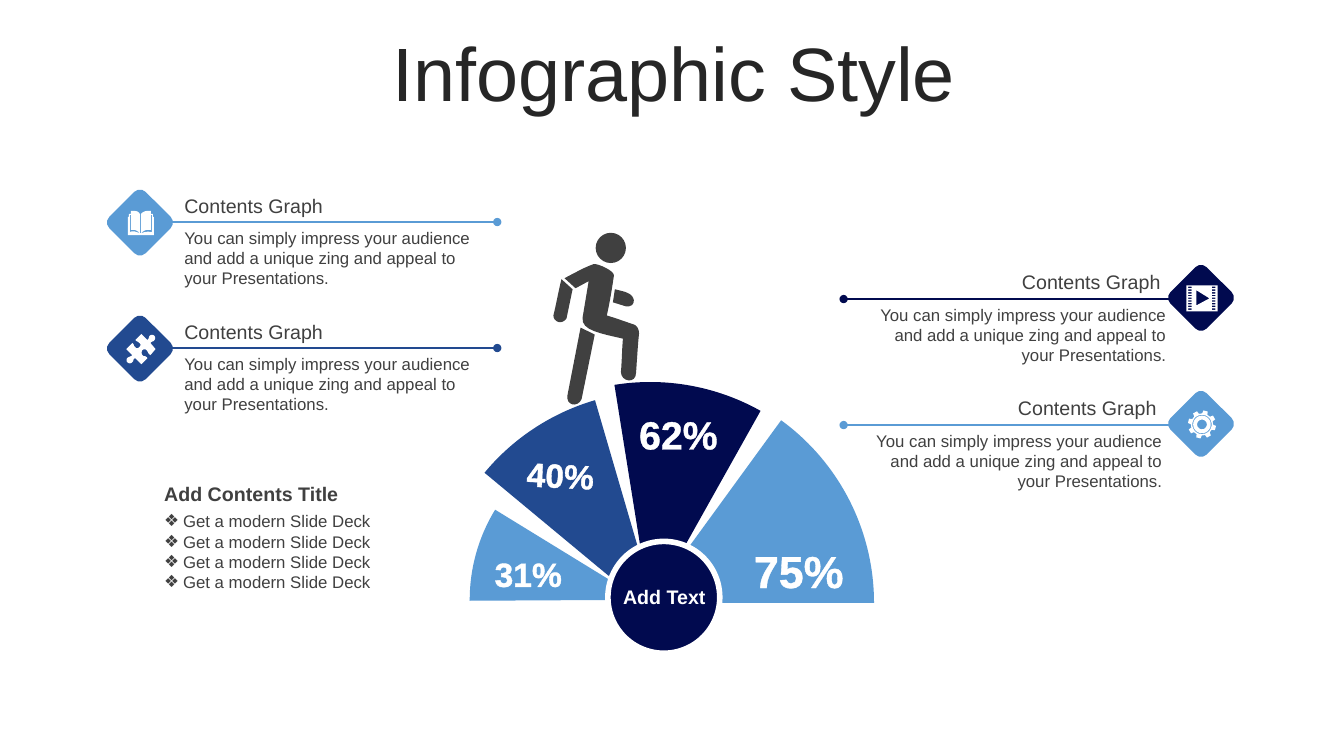
from math import cos, radians, sin

from lxml import etree
from pptx import Presentation
from pptx.dml.color import RGBColor
from pptx.enum.shapes import MSO_CONNECTOR as CONNECTOR, MSO_SHAPE as SHAPE
from pptx.enum.text import MSO_ANCHOR as ANCHOR, MSO_AUTO_SIZE as AUTO_SIZE, PP_ALIGN as ALIGN
from pptx.oxml.ns import qn
from pptx.util import Pt

COLORS = {"sky": "5A9BD5", "blue": "224A90", "navy": "010A4F",
          "text": "404040", "title": "262626", "white": "FFFFFF"}
FONT = "Arial"
UNIT = 0.72
BODY = "You can simply impress your audience and add a unique zing and appeal to your Presentations."

BOOK = [[(12, 22), (13, 22), (17, 21, 19, 20, 24, 21), (24, 4), (23, 4), (23, 19),
         (20, 18, 16, 19, 13, 22), (13, 3), (15, 1, 17, 0, 19, 0), (23, 0), (23, 3),
         (25, 3), (25, 6), (26, 6), (26, 24), (0, 24), (0, 6), (1, 6), (1, 3), (3, 3),
         (3, 0), (7, 0), (9, 0, 11, 1, 12, 3), (12, 22), (9, 19, 6, 18, 3, 19), (3, 4),
         (2, 4), (2, 21), (6, 19, 8, 21, 12, 22)]]
PUZZLE = [[(28, 2), (29, 3, 29, 5, 28, 6), (27, 8, 25, 7, 24, 9), (29, 15), (24, 21),
           (21, 19, 22, 18, 20, 16), (19, 15, 17, 15, 16, 16), (15, 17, 15, 20, 16, 21),
           (18, 23, 19, 21, 21, 24), (15, 30), (9, 24), (6, 25, 8, 26, 6, 28),
           (4, 30, 2, 29, 1, 28), (0, 27, 0, 25, 1, 24), (3, 22, 4, 23, 6, 21), (0, 15),
           (6, 9), (8, 10, 7, 12, 9, 13), (10, 15, 12, 14, 13, 13), (14, 12, 15, 10, 13, 9),
           (11, 7, 11, 8, 9, 6), (15, 0), (21, 6), (23, 4, 22, 4, 23, 2), (25, 0, 27, 1, 28, 2)]]
WALKER = [
    [(40, 31), (43, 30, 62, 38, 60, 43), (58, 56, 56, 69, 53, 82), (63, 85, 68, 87, 80, 91),
     (83, 92, 85, 96, 85, 100), (84, 108, 83, 125, 82, 139), (82, 150, 67, 148, 67, 138),
     (68, 127, 68, 116, 69, 105), (48, 100, 27, 97, 29, 84), (35, 48), (22, 55), (11, 45),
     (21, 40, 29, 35, 40, 31)],
    [(61, 56), (68, 58, 71, 58, 76, 61), (82, 65, 81, 74, 72, 73), (59, 69)],
    [(27, 94), (41, 101), (28, 165), (24, 174, 12, 171, 14, 161)],
    [(8, 46), (19, 56), (13, 85), (8, 92, 0, 88, 0, 82), (3, 70, 5, 58, 8, 46)],
]


def rectangle(left, top, width, height):
    return [(left, top), (left + width, top), (left + width, top + height), (left, top + height)]


def polar(radius, degrees):
    return 14 + radius * sin(radians(degrees)), 14 - radius * cos(radians(degrees))


def film():
    holes = [rectangle(x, 1.4 + 2.7 * row, 3.5, 1.4) for x in (1.7, 25.3) for row in range(9)]
    return [rectangle(0, 0, 31, 26), [(10, 5), (10, 20), (23, 13)], *holes]


def gear():
    teeth = [polar(radius, 15 + 45 * tooth + turn) for tooth in range(8)
             for radius, turn in ((11, -14), (14, -9), (14, 9), (11, 14))]
    rings = [[polar(radius, turn) for turn in range(0, 360, 10)] for radius in (9.6, 8.7, 4.8)]
    return [teeth, *rings]


def flatten(contour):
    points = [contour[0]]
    for step in contour[1:]:
        if len(step) == 2:
            points.append(step)
            continue
        start, first, second, end = points[-1], step[:2], step[2:4], step[4:]
        for t in (k / 8 for k in range(1, 9)):
            points.append(tuple(
                (1 - t) ** 3 * a + 3 * (1 - t) ** 2 * t * b + 3 * (1 - t) * t ** 2 * c + t ** 3 * d
                for a, b, c, d in zip(start, first, second, end)))
    return points


def paint(shape, color):
    shape.shadow.inherit = False
    shape.fill.solid()
    shape.fill.fore_color.rgb = RGBColor.from_string(COLORS[color])
    shape.line.fill.background()
    return shape


def add_figure(slide, left, top, contours, color):
    outlines = [[(Pt(x * UNIT), Pt(y * UNIT)) for x, y in flatten(c)] for c in contours]
    builder = slide.shapes.build_freeform(*outlines[0][0])
    builder.add_line_segments(outlines[0][1:])
    for outline in outlines[1:]:
        builder.move_to(*outline[0])
        builder.add_line_segments(outline[1:])
    return paint(builder.convert_to_shape(Pt(left), Pt(top)), color)


def add_preset(slide, kind, left, top, size, color, rotation=0, adjustments=()):
    shape = paint(slide.shapes.add_shape(kind, Pt(left), Pt(top), Pt(size), Pt(size)), color)
    shape.rotation = rotation
    for index, value in enumerate(adjustments):
        shape.adjustments[index] = value
    return shape


def add_text(slide, text, left, top, width, height, size=12, color="text", bold=False,
             align=ALIGN.LEFT, rotation=0, outline=False, bullet=None):
    box = slide.shapes.add_textbox(Pt(left), Pt(top), Pt(width), Pt(height))
    box.rotation = rotation
    frame = box.text_frame
    frame.word_wrap = True
    frame.auto_size = AUTO_SIZE.SHAPE_TO_FIT_TEXT
    frame.text = text
    for paragraph in frame.paragraphs:
        paragraph.alignment = align
        if bullet:
            properties = paragraph._p.get_or_add_pPr()
            properties.set("marL", str(Pt(13.5)))
            properties.set("indent", str(-Pt(13.5)))
            etree.SubElement(properties, qn("a:buFont")).set("typeface", FONT)
            etree.SubElement(properties, qn("a:buChar")).set("char", bullet)
        run = paragraph.runs[0]
        run.font.name, run.font.size, run.font.bold = FONT, Pt(size), bold
        run.font.color.rgb = RGBColor.from_string(COLORS[color])
        if outline:
            edge = etree.Element(qn("a:ln"), w=str(Pt(1)))
            fill = etree.SubElement(edge, qn("a:solidFill"))
            etree.SubElement(fill, qn("a:srgbClr")).set("val", COLORS[color])
            run._r.get_or_add_rPr().insert(0, edge)


def add_title(slide, text):
    title = slide.shapes.title
    title.left, title.top, title.width, title.height = Pt(25.6), Pt(26.6), Pt(911.5), Pt(56.9)
    frame = title.text_frame
    frame.text = text
    frame.auto_size = AUTO_SIZE.NONE
    frame.vertical_anchor = ANCHOR.MIDDLE
    paragraph = frame.paragraphs[0]
    paragraph.alignment, paragraph.line_spacing = ALIGN.CENTER, 0.9
    font = paragraph.runs[0].font
    font.name, font.size = FONT, Pt(54)
    font.color.rgb = RGBColor.from_string(COLORS["title"])


def add_callout(slide, left, top, icon, color, rule, text_gap, mirrored=False):
    width, diamond, text_width = 273.6, 36.7, 228.3
    diamond_left = left + width - diamond if mirrored else left
    text_left = left + width - text_gap - text_width if mirrored else left + text_gap
    align = ALIGN.RIGHT if mirrored else ALIGN.LEFT
    start, dot = (left + width - 41, left) if mirrored else (left + 41, left + width)

    add_preset(slide, SHAPE.ROUNDED_RECTANGLE, diamond_left, top, diamond, color, 315, [0.156])
    points = [point for contour in icon for point in flatten(contour)]
    icon_width, icon_height = (max(axis) * UNIT for axis in zip(*points))
    add_figure(slide, diamond_left + (diamond - icon_width) / 2 + 0.7,
               top + (diamond - icon_height) / 2 + 0.4, icon, "white")
    add_text(slide, BODY, text_left, top + rule + 0.5, text_width, 51, align=align)
    add_text(slide, "Contents Graph", text_left - (4 if mirrored else 0), top - 5.3,
             text_width, 24.5, size=14, align=align)
    line = slide.shapes.add_connector(CONNECTOR.STRAIGHT, Pt(start), Pt(top + rule),
                                      Pt(dot), Pt(top + rule))
    line.line.color.rgb = RGBColor.from_string(COLORS[color])
    line.line.width = Pt(1.25)
    etree.SubElement(line.line._get_or_add_ln(), qn("a:tailEnd")).set("type", "oval")
    etree.SubElement(line._element.spPr, qn("a:effectLst"))


def add_fan(slide, left, top):
    for x, y, size, color, rotation, angles in (
            (0, 0, 322.6, "sky", 90, (129.64, 162)),
            (1.4, 3.6, 322.6, "navy", 0, (156.54, 179.56)),
            (7.2, 10.1, 322.6, "blue", 0, (131.82, 152.24)),
            (33.8, 36, 246.2, "sky", 270, (161.81, 180.91))):
        add_preset(slide, SHAPE.PIE, left + x, top + y, size, color, rotation, angles)
    hub = add_preset(slide, SHAPE.OVAL, left + 132.5, top + 117.4, 79.9, "navy")
    hub.line.color.rgb = RGBColor.from_string(COLORS["white"])
    hub.line.width = Pt(4)
    for share, x, y, width, height, size, rotation in (
            ("75%", 223.2, 115.2, 91.4, 46, 32, 0),
            ("62%", 145.4, 20.2, 74.9, 41, 28, 0),
            ("40%", 61.2, 51.8, 74.9, 36, 24, 2.9),
            ("31%", 38.2, 122.4, 74.9, 36, 24, 0)):
        add_text(slide, share, left + x, top + y, width, height, size=size, color="white",
                 bold=True, align=ALIGN.CENTER, rotation=rotation, outline=True)
    add_text(slide, "Add Text", left + 136.1, top + 145, 73.4, 24.5, size=14,
             color="white", bold=True, align=ALIGN.CENTER)


def add_walker(slide, left, top):
    add_preset(slide, SHAPE.OVAL, left + 30.2, top, 21.6, "text")
    for limb in WALKER:
        add_figure(slide, left, top, [limb], "text")


def add_contents(slide, left, top):
    add_text(slide, "\n".join(["Get a modern Slide Deck"] * 4),
             left, top + 20.9, 185, 65.5, bullet="❖")
    add_text(slide, "Add Contents Title", left, top, 185, 24.5, size=14, bold=True)


def main():
    deck = Presentation()
    deck.slide_width, deck.slide_height = Pt(960), Pt(540)
    slide = deck.slides.add_slide(deck.slide_layouts[5])
    add_title(slide, "Infographic Style")
    add_callout(slide, 81.6, 140.6, BOOK, "sky", 18, 43)
    add_callout(slide, 81.6, 230.6, PUZZLE, "blue", 18, 43)
    add_callout(slide, 602.6, 194.4, film(), "navy", 19.2, 36, mirrored=True)
    add_callout(slide, 602.6, 284.4, gear(), "sky", 19.2, 38.9, mirrored=True)
    add_contents(slide, 110.2, 340.6)
    add_fan(slide, 301.7, 269.3)
    add_walker(slide, 395.3, 166.3)
    deck.save("out.pptx")


if __name__ == "__main__":
    main()
